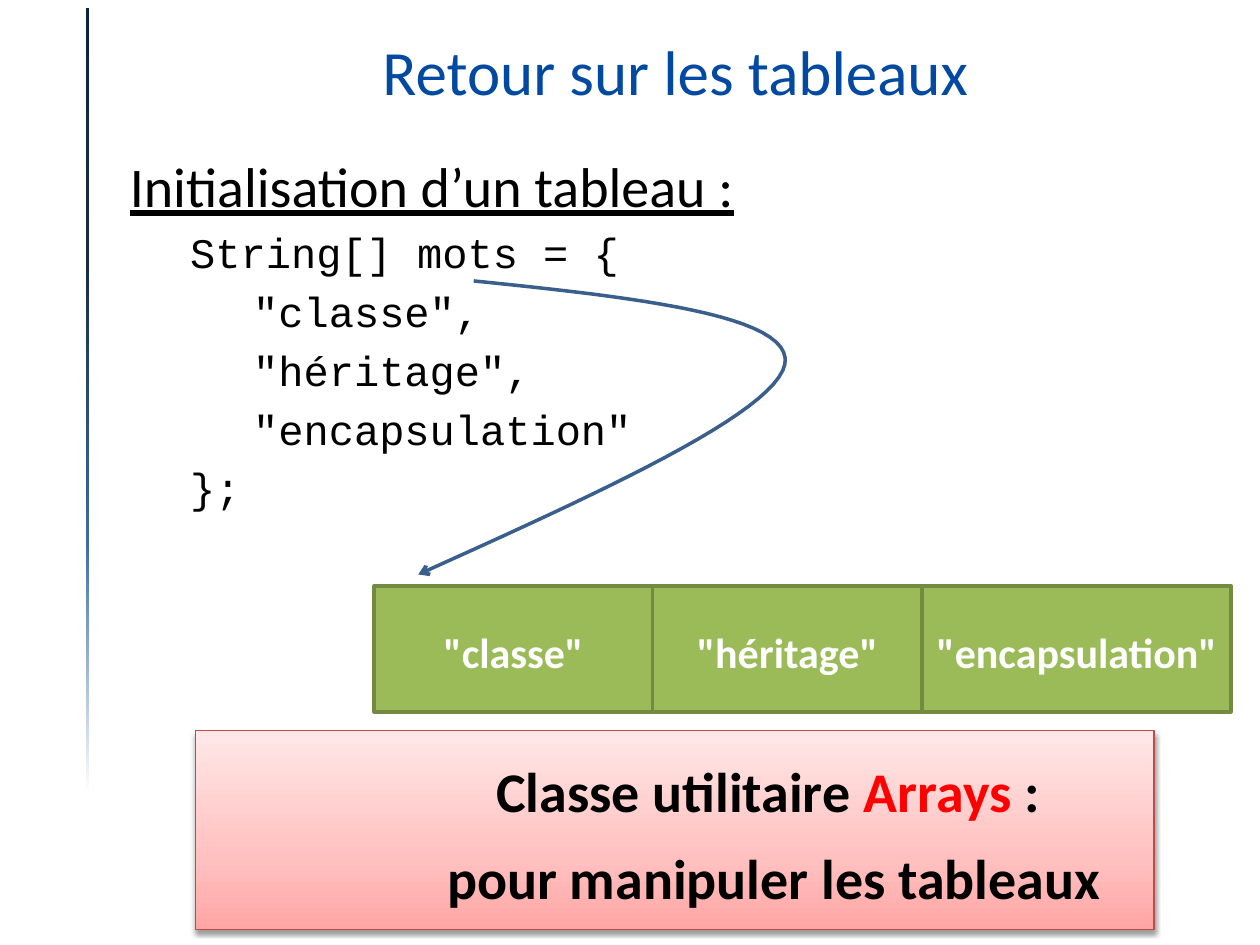
from lxml.etree import SubElement
from pptx import Presentation
from pptx.dml.color import RGBColor
from pptx.enum.shapes import MSO_SHAPE as SHAPE
from pptx.enum.text import MSO_ANCHOR as ANCHOR, MSO_AUTO_SIZE as FIT, PP_ALIGN as ALIGN
from pptx.oxml.ns import qn
from pptx.util import Inches, Pt

COLORS = {
    "title": "0149A1", "black": "000000", "white": "FFFFFF", "red": "FF0000",
    "cell": "9BBB59", "cell_line": "738A42", "arrow": "3A5F8C", "box_line": "BF4C48",
}
BAR_STOPS = [(0, "0F243E"), (33, "182D45"), (68, "3C6CA6"), (100, "FFFFFF")]
BOX_STOPS = [(0, "FFA6A5"), (35, "FFC0BF"), (100, "FFE7E7")]


def add_run(p, text, size, color, font="Calibri", bold=False):
    r = p.add_run()
    r.text = text
    r.font.size, r.font.name, r.font.bold = Pt(size), font, bold
    r.font.color.rgb = RGBColor.from_string(COLORS[color])
    return r


def add_rect(at, line, width, fill=None, stops=(), angle=0):
    sp = s.shapes.add_shape(SHAPE.RECTANGLE, *[Inches(v) for v in at])
    sp.shadow.inherit = False
    sp.line.color.rgb = RGBColor.from_string(COLORS[line])
    sp.line.width = Pt(width)
    if fill:
        sp.fill.solid()
        sp.fill.fore_color.rgb = RGBColor.from_string(COLORS[fill])
    else:
        sp.fill.gradient()
        sp.fill.gradient_angle = angle
        gs_list = sp._element.spPr.find(".//" + qn("a:gsLst"))
        for gs in list(gs_list):
            gs_list.remove(gs)
        for pos, color in stops:
            gs = SubElement(gs_list, qn("a:gs"), pos=str(pos * 1000))
            SubElement(gs, qn("a:srgbClr"), val=color)
    sp.text_frame.word_wrap = True
    sp.text_frame.vertical_anchor = ANCHOR.MIDDLE
    return sp


prs = Presentation()
prs.slide_width, prs.slide_height = Inches(10), Inches(7.5)
s = prs.slides.add_slide(prs.slide_layouts[1])
title, body = s.placeholders

add_rect((0.67, 0.05, 0.05, 6.25), "white", 2, stops=BAR_STOPS, angle=270)

title.left, title.top, title.width, title.height = [Inches(v) for v in (0.83, 0.13, 9.06, 0.85)]
title.text_frame.auto_size = FIT.NONE
add_run(title.text_frame.paragraphs[0], "Retour sur les tableaux", 36, "title")

body.left, body.top, body.width, body.height = [Inches(v) for v in (0.93, 1.15, 9.07, 2.14)]
tf = body.text_frame
tf.auto_size = FIT.NONE
p = tf.paragraphs[0]
add_run(p, "Initialisation d’un tableau :", 32, "black").font.underline = True
pPr = p._p.get_or_add_pPr()
pPr.set("marL", "0")
pPr.set("indent", "0")
SubElement(pPr, qn("a:buNone"))

words = ['"classe"', '"héritage"', '"encapsulation"']
code = ["String[] mots = {", f"\t{words[0]},", f"\t{words[1]},", f"\t{words[2]}", "};"]
for text in code:
    p = tf.add_paragraph()
    add_run(p, text, 24, "black", "Courier New")
    pPr = p._p.get_or_add_pPr()
    pPr.set("marL", str(Inches(0.48)))
    pPr.set("indent", "0")
    SubElement(pPr, qn("a:buNone"))
    tabs = SubElement(pPr, qn("a:tabLst"))
    SubElement(tabs, qn("a:tab"), pos=str(Inches(1.48)), algn="l")

left = 2.97
for word, width in zip(words, (2.21, 2.14, 2.45)):
    sp = add_rect((left, 4.65, width, 1), "cell_line", 2, fill="cell")
    tf = sp.text_frame
    tf.margin_left = tf.margin_right = Inches(0.08)
    p = tf.paragraphs[0]
    p.alignment, p.line_spacing, p.space_before = ALIGN.CENTER, 1.1, Pt(5)
    add_run(p, word, 24, "white", bold=True)
    left += width

curves = [
    [(3.76, 2.23), (5.03, 2.36), (6.3, 2.5), (6.23, 2.89)],
    [(6.23, 2.89), (6.15, 3.28), (4.74, 3.92), (3.32, 4.56)],
]
steps = 24
points = []
for a, b, c, d in curves:
    for i in range(1, steps + 1):
        t = i / steps
        u = 1 - t
        weights = (u**3, 3 * u * u * t, 3 * u * t * t, t**3)
        points.append([Inches(sum(w * q[k] for w, q in zip(weights, (a, b, c, d)))) for k in (0, 1)])
fb = s.shapes.build_freeform(*[Inches(v) for v in curves[0][0]])
fb.add_line_segments(points, close=False)
arrow = fb.convert_to_shape()
arrow.shadow.inherit = False
arrow.fill.background()
arrow.line.color.rgb = RGBColor.from_string(COLORS["arrow"])
arrow.line.width = Pt(2)
ln = arrow._element.spPr.find(qn("a:ln"))
SubElement(ln, qn("a:round"))
SubElement(ln, qn("a:tailEnd"), type="arrow")

box = add_rect((1.55, 5.8, 7.61, 1.58), "box_line", 0.75, stops=BOX_STOPS, angle=90)
effects = box._element.spPr.find(qn("a:effectLst"))
shadow = SubElement(effects, qn("a:outerShdw"), blurRad=str(Pt(3.1)), dist=str(Pt(1.6)),
                    dir="5400000", rotWithShape="0")
SubElement(SubElement(shadow, qn("a:srgbClr"), val=COLORS["black"]), qn("a:alpha"), val="38000")
lines = [
    [("Classe utilitaire ", "black"), ("Arrays", "red"), (" : ", "black")],
    [("pour manipuler les tableaux", "black")],
]
tf = box.text_frame
for i, line in enumerate(lines):
    p = tf.add_paragraph() if i else tf.paragraphs[0]
    p.alignment, p.line_spacing, p.space_before = ALIGN.CENTER, 1.1, Pt(7)
    p._p.get_or_add_pPr().set("marL", str(Inches(1.58)))
    for text, color in line:
        add_run(p, text, 32, color, bold=True)

prs.save("out.pptx")
